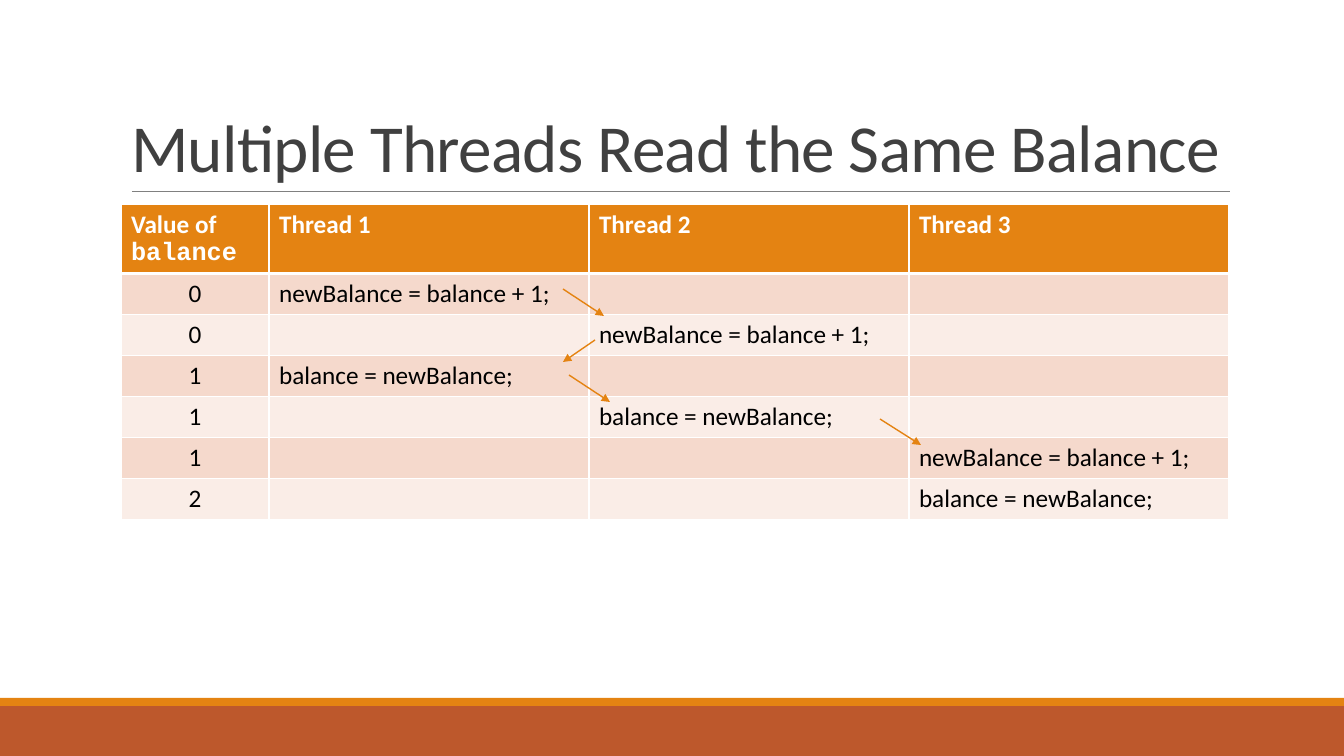
from lxml import etree
from pptx import Presentation
from pptx import util as u
from pptx.dml.color import RGBColor
from pptx.enum import shapes, text
from pptx.oxml.ns import qn

ORANGE = RGBColor(0xE4, 0x83, 0x12)
RUST = RGBColor(0xBD, 0x58, 0x2C)
GRAY = RGBColor(0x80, 0x80, 0x80)
DARK = RGBColor(0x40, 0x40, 0x40)
WHITE = RGBColor(0xFF, 0xFF, 0xFF)
BLACK = RGBColor(0, 0, 0)
BANDS = [RGBColor(0xF5, 0xD9, 0xCC), RGBColor(0xFA, 0xED, 0xE7)]

TITLE = "Multiple Threads Read the Same Balance"
READ = "newBalance = balance + 1;"
WRITE = "balance = newBalance;"
HEAD = [["Value of ", "balance"], ["Thread 1"], ["Thread 2"], ["Thread 3"]]
STEPS = [("0", 1, READ), ("0", 2, READ), ("1", 1, WRITE),
         ("1", 2, WRITE), ("1", 3, READ), ("2", 3, WRITE)]
BARS = [(706, 50, RUST), (698, 8, ORANGE)]
ARROWS = [(563, 289, 604, 316), (595, 340, 563, 362),
          (569, 375, 610, 402), (880, 419, 921, 445)]
WIDTHS = [148, 320, 320, 320]
LEFT, TOP, HEAD_H, ROW_H = 121, 204, 69, 41


def px(n):
    return u.Emu(round(n * 914400 / 100.8))


def style(run, size, color, bold=False, name="Calibri"):
    run.font.size = u.Pt(size)
    run.font.name = name
    run.font.bold = bold
    run.font.color.rgb = color


def line(slide, ends, color, width):
    link = slide.shapes.add_connector(
        shapes.MSO_CONNECTOR.STRAIGHT, *[px(n) for n in ends])
    link.line.color.rgb = color
    link.line.width = u.Pt(width)
    etree.SubElement(link._element.spPr, qn("a:effectLst"))
    return link


def border(cell, side, width):
    props = cell._tc.get_or_add_tcPr()
    edge = etree.SubElement(props, qn("a:ln" + side), w=str(u.Pt(width)))
    fill = etree.SubElement(edge, qn("a:solidFill"))
    etree.SubElement(fill, qn("a:srgbClr"), val=str(WHITE))


def fill_cell(cell, parts, back, color, top, bottom, bold=False):
    for side, width in (("L", 1), ("R", 1), ("T", top), ("B", bottom)):
        border(cell, side, width)
    cell.fill.solid()
    cell.fill.fore_color.rgb = back
    para = cell.text_frame.paragraphs[0]
    para.font.size = u.Pt(18)
    for part in parts:
        run = para.add_run()
        run.text = part
        code = bold and part == "balance"
        style(run, 18, color, bold, "Courier New" if code else "Calibri")


def add_title(slide):
    title = slide.shapes.title
    title.left, title.top, title.width, title.height = map(px, (121, 31, 1109, 160))
    frame = title.text_frame
    frame.text = TITLE
    frame.word_wrap = True
    frame.auto_size = text.MSO_AUTO_SIZE.NONE
    frame.vertical_anchor = text.MSO_ANCHOR.BOTTOM
    para = frame.paragraphs[0]
    para.alignment = text.PP_ALIGN.LEFT
    para.line_spacing = 0.85
    style(para.runs[0], 48, DARK)
    para.runs[0]._r.get_or_add_rPr().set("spc", "-50")


def add_grid(slide):
    high = HEAD_H + ROW_H * len(STEPS)
    table = slide.shapes.add_table(
        len(STEPS) + 1, len(WIDTHS), px(LEFT), px(TOP),
        px(sum(WIDTHS)), px(high)).table
    for col, width in zip(table.columns, WIDTHS):
        col.width = px(width)
    for i, row in enumerate(table.rows):
        row.height = px(ROW_H if i else HEAD_H)
    for col, parts in enumerate(HEAD):
        fill_cell(table.cell(0, col), parts, ORANGE, WHITE, 1, 3, True)
    for i, (value, thread, code) in enumerate(STEPS):
        words = {0: [value], thread: [code]}
        for col in range(len(WIDTHS)):
            fill_cell(table.cell(i + 1, col), words.get(col, []),
                      BANDS[i % 2], BLACK, 1 if i else 3, 1)
        para = table.cell(i + 1, 0).text_frame.paragraphs[0]
        para.alignment = text.PP_ALIGN.CENTER


def main():
    deck = Presentation()
    deck.slide_width, deck.slide_height = px(1344), px(756)
    slide = deck.slides.add_slide(deck.slide_layouts[5])
    for top, high, color in BARS:
        bar = slide.shapes.add_shape(
            shapes.MSO_SHAPE.RECTANGLE, 0, px(top), px(1344), px(high))
        bar.shadow.inherit = False
        bar.fill.solid()
        bar.fill.fore_color.rgb = color
        bar.line.fill.background()
    line(slide, (132, 191, 1230, 191), GRAY, 0.5)
    add_title(slide)
    add_grid(slide)
    for ends in ARROWS:
        arrow = line(slide, ends, ORANGE, 1)
        etree.SubElement(arrow.line._get_or_add_ln(), qn("a:tailEnd"), type="triangle")
    deck.save("out.pptx")


if __name__ == "__main__":
    main()
